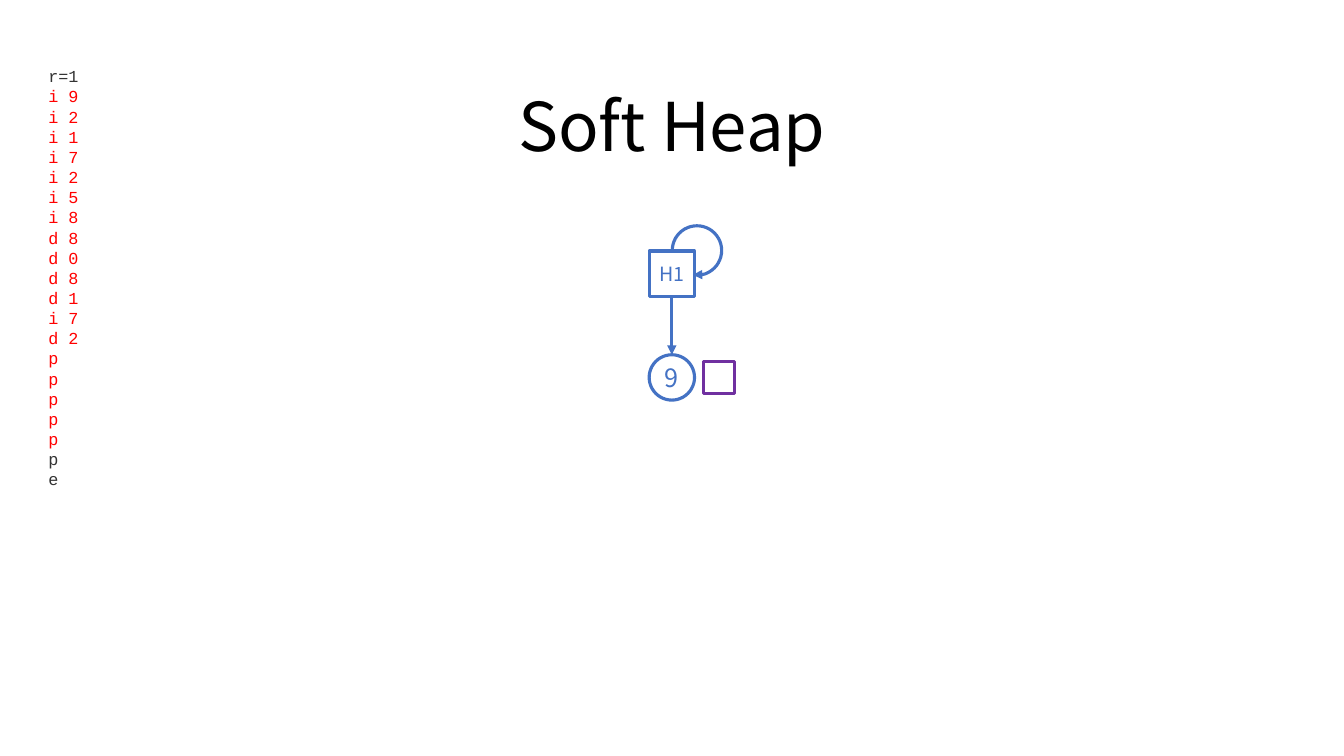
from dataclasses import dataclass

from lxml.etree import SubElement
from pptx import Presentation
from pptx.dml.color import RGBColor
from pptx.enum.shapes import MSO_CONNECTOR, MSO_SHAPE
from pptx.enum.text import MSO_ANCHOR, PP_ALIGN
from pptx.oxml.ns import qn
from pptx.shapes.autoshape import Shape
from pptx.slide import Slide
from pptx.text.text import Font
from pptx.util import Pt

COLORS = {
    "title": "000000",
    "pending": "333333",
    "highlight": "FF0000",
    "heap": "4472C4",
    "marker": "7030A0",
}
HEADING_FONT = "Noto Sans CJK SC"
CODE_FONT = "Courier New"
LINE_WIDTH = 2.25


@dataclass
class Node:
    kind: MSO_SHAPE
    left: float
    top: float
    size: float
    color: str
    label: str = ""
    label_size: float = 18


HEAD = Node(MSO_SHAPE.RECTANGLE, 463.7, 179.3, 32.4, "heap", "H1", 14)
ITEM = Node(MSO_SHAPE.OVAL, 463.7, 253.4, 32.4, "heap", "9")
LOOP = Node(MSO_SHAPE.ARC, 480.2, 161.3, 35.3, "heap")
MARKER = Node(MSO_SHAPE.RECTANGLE, 502.6, 258.5, 22.3, "marker")

COMMANDS = ["r=1", "i 9", "i 2", "i 1", "i 7", "i 2", "i 5", "i 8",
            "d 8", "d 0", "d 8", "d 1", "i 7", "d 2"] + ["p"] * 6 + ["e"]
HIGHLIGHTED = range(1, 19)


def color(name: str) -> RGBColor:
    return RGBColor.from_string(COLORS[name])


def style_font(font: Font, name: str, size: float, color_name: str) -> None:
    font.name = name
    font.size = Pt(size)
    font.color.rgb = color(color_name)


def add_arrowhead(shape) -> None:
    line = shape.line._get_or_add_ln()
    SubElement(line, qn("a:tailEnd"), type="triangle")


def add_text_box(slide: Slide, left: float, top: float,
                 width: float, height: float) -> Shape:
    box = slide.shapes.add_textbox(Pt(left), Pt(top), Pt(width), Pt(height))
    box.text_frame.word_wrap = True
    return box


def add_node(slide: Slide, node: Node) -> Shape:
    shape = slide.shapes.add_shape(node.kind, Pt(node.left), Pt(node.top),
                                   Pt(node.size), Pt(node.size))
    shape.shadow.inherit = False
    shape.fill.background()
    shape.line.color.rgb = color(node.color)
    shape.line.width = Pt(LINE_WIDTH)
    if node.label:
        frame = shape.text_frame
        frame.margin_left = frame.margin_right = Pt(0)
        frame.margin_top = frame.margin_bottom = Pt(0)
        frame.vertical_anchor = MSO_ANCHOR.MIDDLE
        frame.text = node.label
        paragraph = frame.paragraphs[0]
        paragraph.alignment = PP_ALIGN.CENTER
        style_font(paragraph.runs[0].font, HEADING_FONT, node.label_size, node.color)
    return shape


def add_arrow(slide: Slide, start: Shape, end: Shape) -> None:
    """Arrow from the bottom of one node to the top of another."""
    arrow = slide.shapes.add_connector(MSO_CONNECTOR.STRAIGHT, 0, 0, 0, 0)
    arrow.begin_connect(start, 2)
    arrow.end_connect(end, 0)
    arrow.line.color.rgb = color("heap")
    arrow.line.width = Pt(LINE_WIDTH)
    add_arrowhead(arrow)
    SubElement(arrow._element.spPr, qn("a:effectLst"))


def add_title(slide: Slide) -> None:
    frame = add_text_box(slide, 265, 51.1, 429.8, 71.3).text_frame
    frame.vertical_anchor = MSO_ANCHOR.BOTTOM
    frame.text = "Soft Heap"
    paragraph = frame.paragraphs[0]
    paragraph.alignment = PP_ALIGN.CENTER
    paragraph.line_spacing = 0.9
    style_font(paragraph.runs[0].font, HEADING_FONT, 48, "title")


def add_commands(slide: Slide) -> None:
    frame = add_text_box(slide, 27.4, 43.6, 87.1, 312.5).text_frame
    frame.text = "\n".join(COMMANDS)
    for index, paragraph in enumerate(frame.paragraphs):
        color_name = "highlight" if index in HIGHLIGHTED else "pending"
        paragraph.line_spacing = Pt(14.4)
        style_font(paragraph.runs[0].font, CODE_FONT, 12, color_name)


def main() -> None:
    presentation = Presentation()
    presentation.slide_width, presentation.slide_height = Pt(960), Pt(540)
    slide = presentation.slides.add_slide(presentation.slide_layouts[6])

    # Title and command list
    add_title(slide)
    add_commands(slide)

    # Heap head pointing to its item
    head = add_node(slide, HEAD)
    item = add_node(slide, ITEM)
    add_arrow(slide, head, item)

    # Loop from the head back to itself
    loop = add_node(slide, LOOP)
    loop.adjustments[0] = 107.31
    loop.adjustments[1] = 59.67
    add_arrowhead(loop)

    # Empty box beside the item
    add_node(slide, MARKER)

    presentation.save("out.pptx")


if __name__ == "__main__":
    main()
